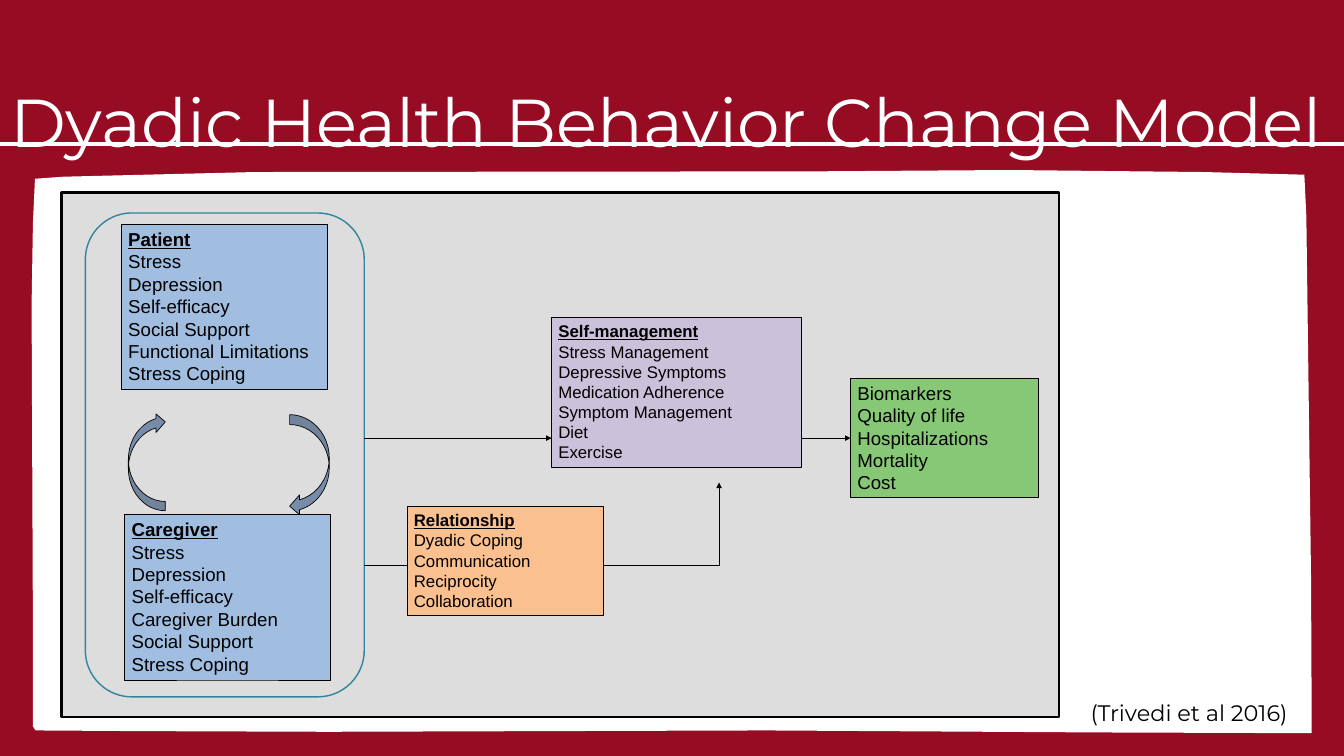
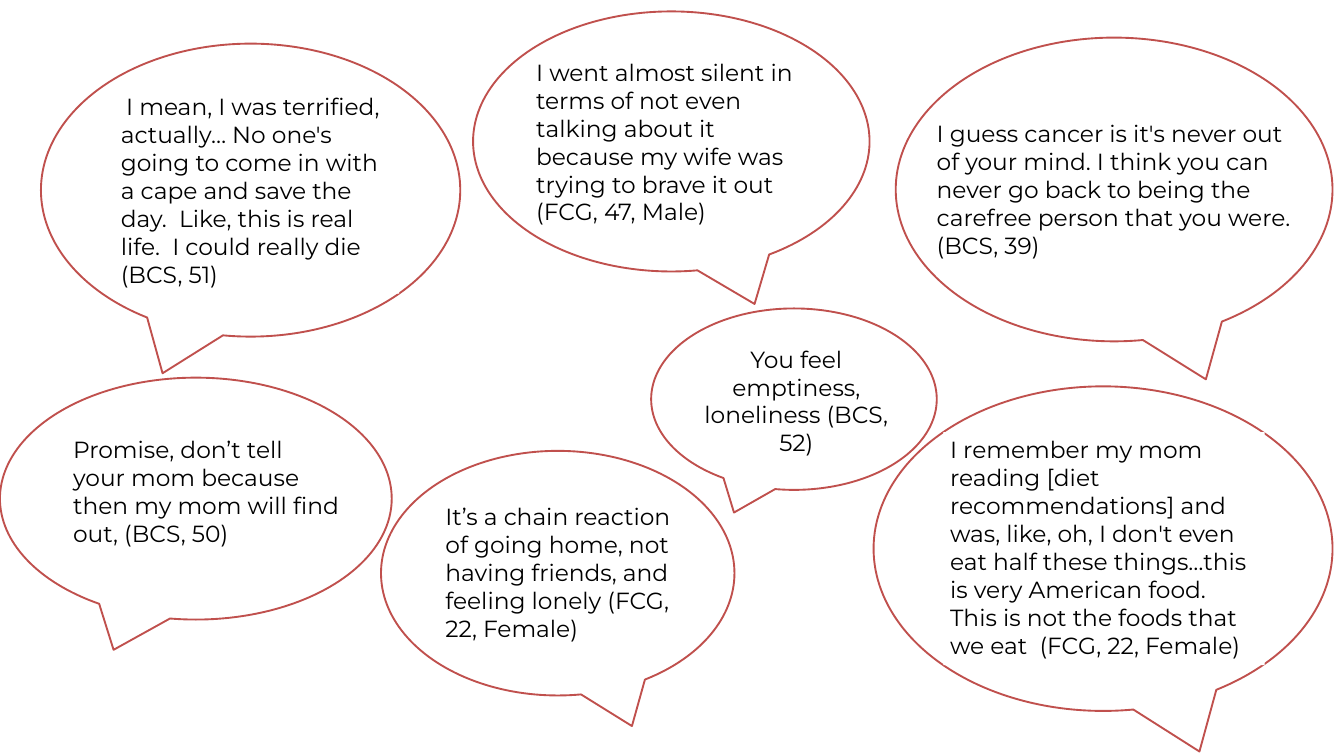
from dataclasses import dataclass

from lxml import etree
from pptx import Presentation
from pptx import util as u
from pptx.dml.color import RGBColor
from pptx.enum import shapes, text
from pptx.oxml import ns

RED, WHITE, BLACK = "960C22", "FFFFFF", "000000"
CORAL, TEAL, GREY, BLUE = "C0504D", "31859C", "BFBFBF", "8EB4E3"
NAVY, LILAC, ORANGE, GREEN = "1F497D", "CCC1DA", "FAC090", "22B000"
HEADING_FONT, DIAGRAM_FONT = "Montserrat", "Arial"
PRESET = shapes.MSO_SHAPE
LEFT, CENTER = text.PP_ALIGN.LEFT, text.PP_ALIGN.CENTER
TIP_OFFSET = 0.21


@dataclass
class Box:
    """Hold a rectangle in inches."""
    left: float
    top: float
    width: float
    height: float

    @property
    def right(self):
        """Return the right edge."""
        return self.left + self.width

    def inside(self, left, top, width, height):
        """Return a box placed relative to this one."""
        return Box(self.left + left, self.top + top, width, height)

    def lengths(self):
        """Return left, top, width and height as lengths."""
        return [u.Inches(side) for side in (self.left, self.top, self.width, self.height)]


FRAME = Box(0.47, 2.53, 19.06, 8.38)
FRAME_EDGE = [
    (0.05, 0.13), (0.47, 0.1), (2.52, 0.05), (3.33, 0.03), (11.67, 0.02),
    (14.56, 0), (17.44, 0.03), (18.94, 0.07), (18.97, 0.69), (19.04, 6.09),
    (19.05, 8.38), (18.8, 8.38), (15.89, 8.37), (10.93, 8.34), (4.41, 8.36),
    (1.55, 8.35), (0.06, 8.34), (0.02, 8.28), (0.02, 6.84), (0, 2), (0.02, 0.79)]

PATIENT = ["Patient", "Stress", "Depression", "Self-efficacy", "Social Support",
           "Functional Limitations", "Stress Coping"]
CAREGIVER = ["Caregiver", "Stress", "Depression", "Self-efficacy", "Caregiver Burden",
             "Social Support", "Stress Coping"]
SELF_MANAGEMENT = ["Self-management", "Stress Management", "Depressive Symptoms",
                   "Medication Adherence", "Symptom Management", "Diet", "Exercise"]
RELATIONSHIP = ["Relationship", "Dyadic Coping", "Communication", "Reciprocity",
                "Collaboration"]
OUTCOMES = ["Biomarkers", "Quality of life", "Hospitalizations", "Mortality", "Cost"]

QUOTES = [
    (Box(13.33, 0.56, 6.5, 4.52), 1, (0.51, 1.16, 5.55, 2.21), {},
     "I guess cancer is it's never out of your mind. I think you can never go back to "
     "being the carefree person that you were. (BCS, 39)"),
    (Box(7.04, 0.17, 5.9, 3.87), 1, (0.84, 0.64, 4.15, 2.63), {},
     "I went almost silent in terms of not even talking about it because my wife was "
     "trying to brave it out (FCG, 47, Male)"),
    (Box(9.69, 4.59, 4.25, 2.7), -1, (0.69, 0.49, 2.94, 1.78), {"align": CENTER},
     "You feel emptiness, loneliness (BCS, 52)"),
    (Box(5.67, 6.71, 5.26, 3.64), 1, (0.86, 0.72, 3.79, 2.21), {},
     "It’s a chain reaction of going home, not having friends, and feeling lonely "
     "(FCG, 22, Female)"),
    (Box(13, 5.75, 6.83, 4.83), 1, (1.04, 0.68, 4.78, 3.47), {},
     "I remember my mom reading [diet recommendations] and was, like, oh, I don't even "
     "eat half these things…this is very American food. This is not the foods that we "
     "eat  (FCG, 22, Female)"),
    (Box(0, 5.62, 5.83, 3.6), -1, (0.99, 0.81, 4.16, 1.78), {"fill": None},
     "Promise, don’t tell your mom because then my mom will find out, (BCS, 50)"),
    (Box(0.61, 0.65, 6.24, 4.36), -1, (1.09, 0.67, 4.24, 3.05), {"indent": 0.08},
     "I mean, I was terrified, actually… No one's going to come in with a cape and save "
     "the day.  Like, this is real life.  I could really die (BCS, 51)")]


def paint(color_format, color):
    """Set a colour from a hex string."""
    color_format.rgb = RGBColor.from_string(color)


def style(shape, fill=None, line=None, width=1, opacity=100):
    """Set fill, outline and opacity, and drop the shadow."""
    shape.shadow.inherit = False
    if fill:
        shape.fill.solid()
        paint(shape.fill.fore_color, fill)
        if opacity < 100:
            color = shape.fill._xPr.find(".//" + ns.qn("a:srgbClr"))
            etree.SubElement(color, ns.qn("a:alpha"), val=str(opacity * 1000))
    else:
        shape.fill.background()
    if line:
        paint(shape.line.color, line)
        shape.line.width = u.Pt(width)
    else:
        shape.line.fill.background()


def add_preset(page, preset, box, **look):
    """Add a styled preset shape."""
    shape = page.shapes.add_shape(preset, *box.lengths())
    style(shape, **look)
    return shape


def add_line(page, start, end, color=BLACK, width=0.75, arrow=False):
    """Add a straight line, with an arrowhead at its end if asked."""
    ends = [u.Inches(value) for value in (*start, *end)]
    line = page.shapes.add_connector(shapes.MSO_CONNECTOR.STRAIGHT, *ends)
    paint(line.line.color, color)
    line.line.width = u.Pt(width)
    if arrow:
        etree.SubElement(line.line._get_or_add_ln(), ns.qn("a:tailEnd"), type="triangle")
    etree.SubElement(line._element.spPr, ns.qn("a:effectLst"))


def write(shape, lines, size, font, color=BLACK, align=LEFT, spacing=None,
          inset=True, headed=False, indent=0):
    """Write one paragraph per line, the first underlined when headed."""
    frame = shape.text_frame
    frame.word_wrap = True
    frame.auto_size = text.MSO_AUTO_SIZE.NONE
    frame.vertical_anchor = text.MSO_ANCHOR.TOP
    if not inset:
        frame.margin_left = frame.margin_right = frame.margin_top = frame.margin_bottom = 0
    for index, words in enumerate(lines):
        para = frame.paragraphs[0] if index == 0 else frame.add_paragraph()
        para.alignment = align
        if spacing:
            para.line_spacing = u.Pt(spacing)
        if indent:
            para._p.get_or_add_pPr().set("indent", str(u.Inches(indent)))
        span = para.add_run()
        span.text = words
        span.font.size = u.Pt(size)
        span.font.name = font
        span.font.bold = span.font.underline = headed and index == 0
        paint(span.font.color, color)


def add_page(deck, layout, background):
    """Add a slide with a plain background."""
    page = deck.slides.add_slide(deck.slide_layouts[layout])
    page.background.fill.solid()
    paint(page.background.fill.fore_color, background)
    return page


def add_heading(page, box, words):
    """Place the title and the rule that crosses the slide."""
    title = page.shapes.title
    title.left, title.top, title.width, title.height = box.lengths()
    write(title, [words], 72.5, HEADING_FONT, WHITE, spacing=101.5, inset=False)
    rule = box.top + 1.16
    add_line(page, (0, rule), (20, rule), WHITE, 4.5)


def add_frame(page, box):
    """Draw the white panel with its uneven edge."""
    points = [(u.Inches(box.left + x), u.Inches(box.top + y)) for x, y in FRAME_EDGE]
    builder = page.shapes.build_freeform(*points[0], scale=1.0)
    builder.add_line_segments(points[1:], close=True)
    style(builder.convert_to_shape(), fill=WHITE)


def add_factors(page, box, lines, size, fill, opacity=100, headed=True):
    """Add one filled box of factors."""
    shape = add_preset(page, PRESET.RECTANGLE, box, fill=fill, line=BLACK, opacity=opacity)
    write(shape, lines, size, DIAGRAM_FONT, headed=headed)


def add_model(page, box):
    """Draw the dyadic model in its grey panel."""
    couple = box.inside(0.35, 0.3, 4.15, 7.2)
    management = box.inside(7.29, 1.86, 3.72, 2.22)
    relationship = box.inside(5.14, 4.67, 2.92, 1.62)
    outcomes = box.inside(11.74, 2.76, 2.79, 1.78)
    add_preset(page, PRESET.RECTANGLE, box, fill=GREY, line=BLACK, width=3, opacity=52)
    add_preset(page, PRESET.ROUNDED_RECTANGLE, couple, line=TEAL, width=1.5)
    add_factors(page, couple.inside(0.54, 0.17, 3.06, 2.46), PATIENT, 20, BLUE, 75)
    add_factors(page, couple.inside(0.59, 4.49, 3.06, 2.46), CAREGIVER, 20, BLUE, 75)
    for place, turn in (((3.04, 3, 0.59, 1.51), 0), ((0.64, 2.97, 0.55, 1.46), 180)):
        arrow = add_preset(page, PRESET.CURVED_LEFT_ARROW, couple.inside(*place),
                           fill=NAVY, line=BLACK, width=0.75, opacity=54)
        arrow.rotation = turn
    add_factors(page, management, SELF_MANAGEMENT, 18, LILAC)
    add_factors(page, relationship, RELATIONSHIP, 18, ORANGE)
    add_factors(page, outcomes, OUTCOMES, 20, GREEN, 46, headed=False)

    upper, lower, bend = box.top + 3.65, box.top + 5.55, box.left + 9.78
    add_line(page, (couple.right, lower), (relationship.left, lower))
    add_line(page, (relationship.right, lower), (bend, lower))
    add_line(page, (bend, lower), (bend, box.top + 4.31), arrow=True)
    for source, target in ((couple, management), (management, outcomes)):
        add_line(page, (source.right, upper), (target.left, upper), arrow=True)


def add_citation(page, box, words):
    """Add the source of the model."""
    shape = page.shapes.add_textbox(*box.lengths())
    write(shape, [words], 24, HEADING_FONT, align=CENTER, spacing=54.5, inset=False)


def add_quote(page, box, side, place, words, fill=WHITE, **layout):
    """Add a speech bubble, its tip left (-1) or right (1), and its quote."""
    bubble = add_preset(page, PRESET.OVAL_CALLOUT, box, fill=WHITE, line=CORAL, width=2)
    bubble.adjustments[0] = side * TIP_OFFSET
    bubble.adjustments[1] = 0.625
    quote = add_preset(page, PRESET.RECTANGLE, box.inside(*place), fill=fill)
    write(quote, [words], 25, HEADING_FONT, **layout)


def build_model_page(deck):
    """Build the slide with the model."""
    page = add_page(deck, 5, RED)
    add_frame(page, FRAME)
    add_heading(page, Box(0.15, 0.98, 19.69, 1.35), "Dyadic Health Behavior Change Model")
    add_model(page, FRAME.inside(0.45, 0.34, 14.84, 7.8))
    add_citation(page, FRAME.inside(15.34, 7.52, 3.77, 0.66), "(Trivedi et al 2016)")


def build_quotes_page(deck):
    """Build the slide with the speech bubbles."""
    page = add_page(deck, 6, WHITE)
    for box, side, place, options, words in QUOTES:
        add_quote(page, box, side, place, words, **options)


def main():
    """Build and save the deck."""
    deck = Presentation()
    deck.slide_width, deck.slide_height = u.Inches(20), u.Inches(11.25)
    build_model_page(deck)
    build_quotes_page(deck)
    deck.save("out.pptx")


if __name__ == "__main__":
    main()
